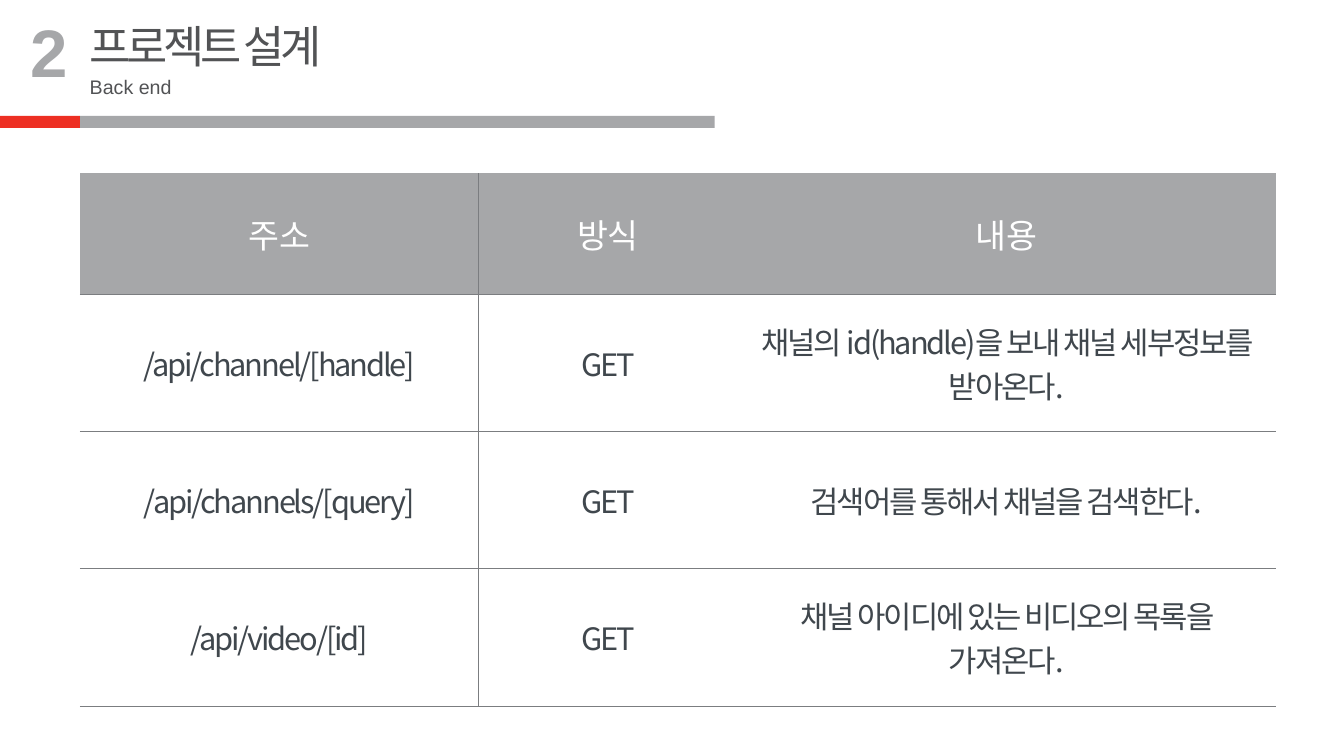
"""Build the back-end API slide of a project design deck."""
from dataclasses import dataclass

from lxml.etree import SubElement
from pptx import Presentation
from pptx.dml.color import RGBColor
from pptx.enum.shapes import MSO_SHAPE
from pptx.enum.text import MSO_ANCHOR, MSO_AUTO_SIZE, PP_ALIGN
from pptx.oxml.ns import qn
from pptx.util import Pt

GRAY, RED, WHITE = "A6A7A9", "ED2F23", "FFFFFF"
HEADING, BODY, RULE = "525355", "40474D", "7B7D80"
KOREAN_FONT = "Noto Sans CJK KR"
MARGIN = 57
COLUMN_WIDTHS = (285, 184.5, 385)
ROW_HEIGHTS = (86.5, 98, 98, 98)
ROWS = (
    ("주소", "방식", "내용"),
    ("/api/channel/[handle]", "GET", "채널의 id(handle)을 보내 채널 세부정보를 받아온다."),
    ("/api/channels/[query]", "GET", "검색어를 통해서 채널을 검색한다."),
    ("/api/video/[id]", "GET", "채널 아이디에 있는 비디오의 목록을 가져온다."),
)
FRAME_FORMAT = {
    "word_wrap": False,
    "auto_size": MSO_AUTO_SIZE.SHAPE_TO_FIT_TEXT,
    "vertical_anchor": MSO_ANCHOR.TOP,
    "margin_left": Pt(7.2),
    "margin_right": Pt(7.2),
    "margin_top": Pt(3.6),
    "margin_bottom": Pt(3.6),
}


@dataclass(frozen=True)
class Box:
    left: float
    top: float
    width: float
    height: float

    def lengths(self) -> tuple:
        return tuple(Pt(value) for value in (self.left, self.top, self.width, self.height))


@dataclass(frozen=True)
class TextStyle:
    size: float
    color: str
    font: str = "Arial"
    bold: bool = False
    spacing: float = 0


@dataclass(frozen=True)
class Bar:
    box: Box
    color: str


@dataclass(frozen=True)
class Label:
    text: str
    box: Box
    style: TextStyle


TITLE = Label("프로젝트 설계", Box(MARGIN, 9.4, 201.5, 46), TextStyle(32, HEADING, spacing=-3))
LABELS = (
    Label("Back end", Box(MARGIN, 49.7, 73.5, 24.5), TextStyle(14, HEADING)),
    Label("2", Box(14.4, 3.6, 41.8, 65.5), TextStyle(48, GRAY, bold=True)),
)
BARS = (
    Bar(Box(MARGIN, 82.8, 453.5, 8.6), GRAY),
    Bar(Box(0, 82.8, MARGIN, 8.6), RED),
)
HEADER_STYLE = TextStyle(24, WHITE, KOREAN_FONT)
CELL_STYLE = TextStyle(22, BODY, KOREAN_FONT, spacing=-1.5)


def set_color(fill, color: str) -> None:
    fill.solid()
    fill.fore_color.rgb = RGBColor.from_string(color)


def write_text(frame, text: str, style: TextStyle, alignment: PP_ALIGN) -> None:
    paragraph = frame.paragraphs[0]
    paragraph.alignment = alignment
    run = paragraph.add_run()
    run.text = text
    font_format = {"size": Pt(style.size), "bold": style.bold, "name": style.font}
    for name, value in font_format.items():
        setattr(run.font, name, value)
    set_color(run.font.fill, style.color)
    properties = run.font._element
    SubElement(properties, qn("a:ea"), typeface=KOREAN_FONT)
    if style.spacing:
        properties.set("spc", str(int(style.spacing * 100)))


def fill_label(shape, label: Label) -> None:
    for name, value in zip(("left", "top", "width", "height"), label.box.lengths()):
        setattr(shape, name, value)
    for name, value in FRAME_FORMAT.items():
        setattr(shape.text_frame, name, value)
    write_text(shape.text_frame, label.text, label.style, PP_ALIGN.LEFT)


def draw_bar(slide, bar: Bar) -> None:
    shape = slide.shapes.add_shape(MSO_SHAPE.RECTANGLE, *bar.box.lengths())
    shape.shadow.inherit = False
    set_color(shape.fill, bar.color)
    shape.line.fill.background()


def set_borders(cell, visible_sides: str) -> None:
    properties = cell._tc.get_or_add_tcPr()
    for side in "LRTB":
        line = SubElement(properties, qn(f"a:ln{side}"), w=str(Pt(0.5)))
        if side in visible_sides:
            fill = SubElement(line, qn("a:solidFill"))
            SubElement(fill, qn("a:srgbClr"), val=RULE)
        else:
            SubElement(line, qn("a:noFill"))


def draw_table(slide) -> None:
    box = Box(MARGIN, 123.8, sum(COLUMN_WIDTHS), sum(ROW_HEIGHTS))
    table = slide.shapes.add_table(len(ROWS), len(COLUMN_WIDTHS), *box.lengths()).table
    table.horz_banding = False
    for column, width in zip(table.columns, COLUMN_WIDTHS):
        column.width = Pt(width)
    for row_index, (texts, height) in enumerate(zip(ROWS, ROW_HEIGHTS)):
        table.rows[row_index].height = Pt(height)
        is_header = row_index == 0
        for column_index, text in enumerate(texts):
            cell = table.cell(row_index, column_index)
            cell.vertical_anchor = MSO_ANCHOR.MIDDLE
            sides = "B" if is_header else "TB"
            set_borders(cell, sides + ("R", "L", "")[column_index])
            set_color(cell.fill, GRAY if is_header else WHITE)
            style = HEADER_STYLE if is_header else CELL_STYLE
            write_text(cell.text_frame, text, style, PP_ALIGN.CENTER)


def main() -> None:
    presentation = Presentation()
    presentation.slide_width, presentation.slide_height = Pt(960), Pt(540)
    slide = presentation.slides.add_slide(presentation.slide_layouts.get_by_name("Title Only"))
    for bar in BARS:
        draw_bar(slide, bar)
    fill_label(slide.shapes.title, TITLE)
    for label in LABELS:
        fill_label(slide.shapes.add_textbox(*label.box.lengths()), label)
    draw_table(slide)
    presentation.save("out.pptx")


if __name__ == "__main__":
    main()
